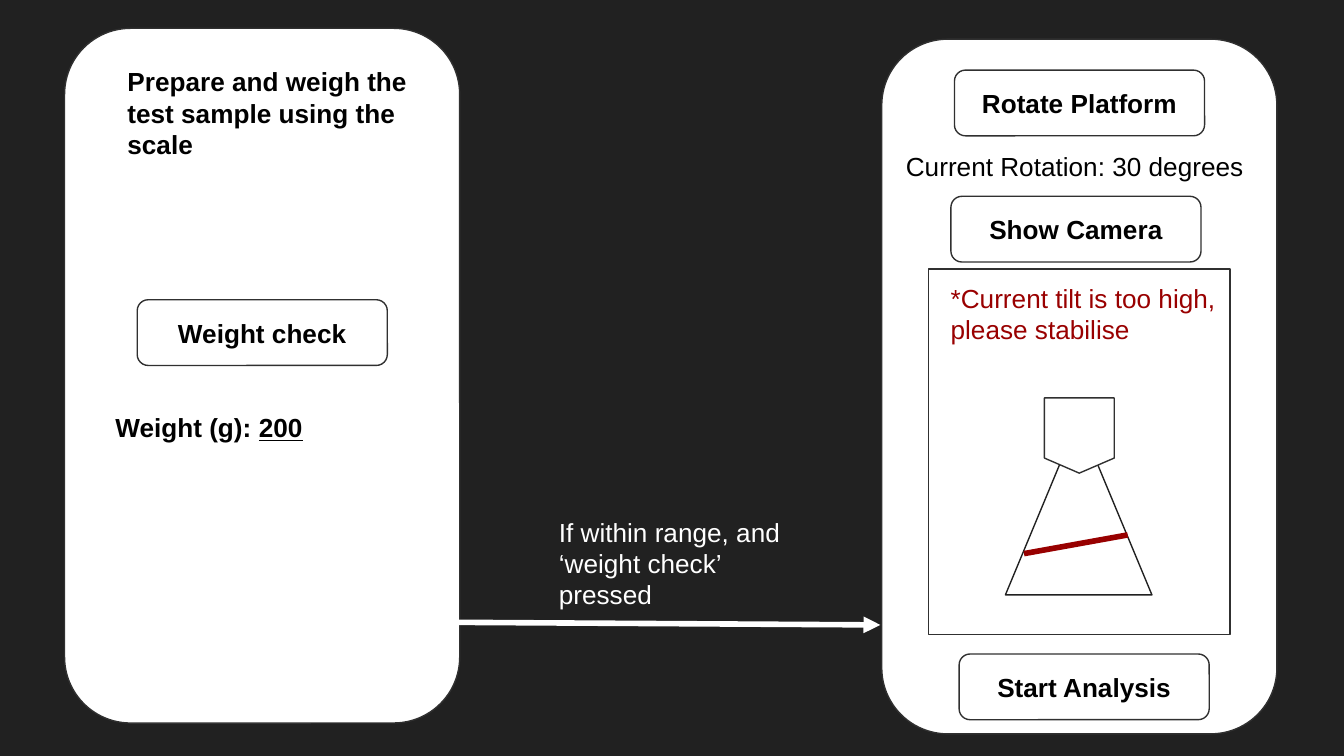
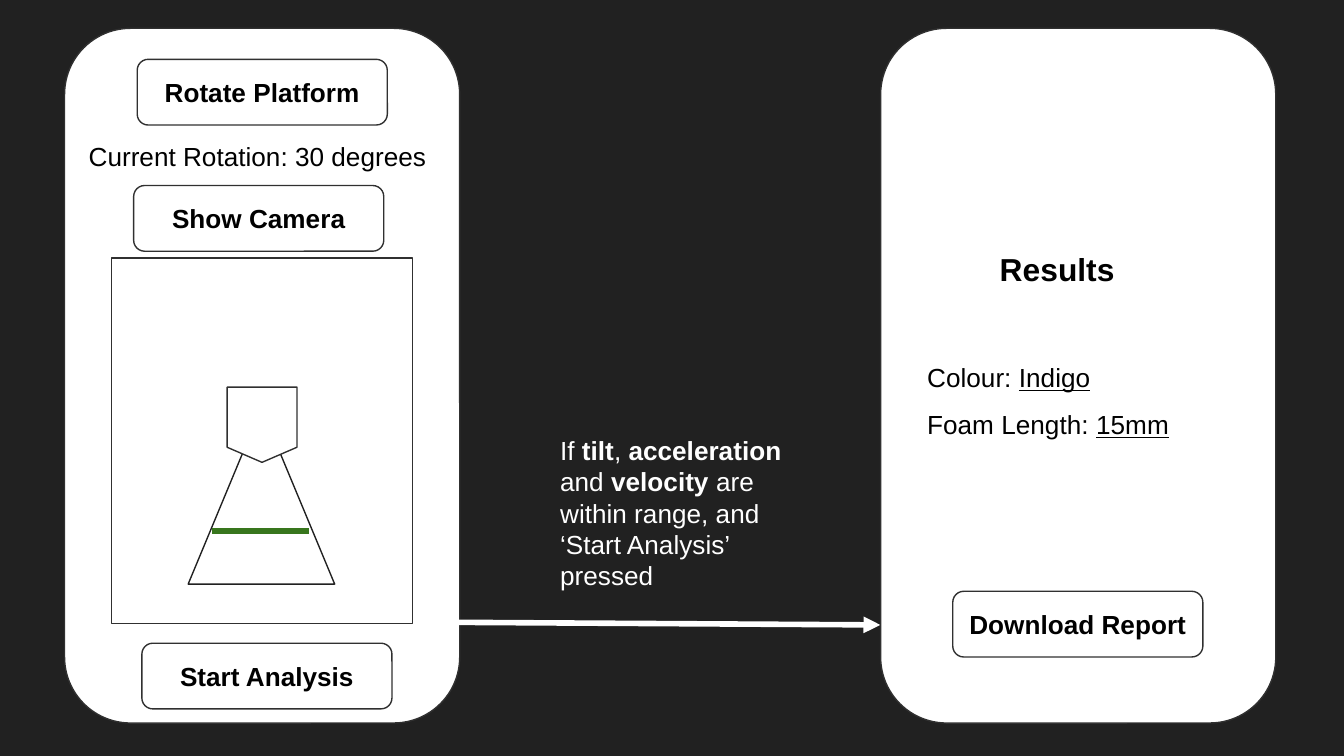
"""Build two slides that show the screens of a foam test app and the steps between them."""
import dataclasses
import typing

import pptx
import pptx.dml.color
import pptx.enum.shapes
import pptx.enum.text
import pptx.oxml.ns
import pptx.util
from lxml import etree

Pt = pptx.util.Pt
SHAPES = pptx.enum.shapes.MSO_SHAPE
COLOURS = {
    "background": "212121",
    "white": "FFFFFF",
    "outline": "303030",
    "flask": "212121",
    "text": "000000",
    "warning": "990000",
    "tilted": "980000",
    "level": "38761D",
}
FONT = "Arial"
CORNER = 0.167
INSET = 7.2
PANEL_SIZE = (211.7, 372.2)
BUTTON_SIZE = (134, 35.2)
LEFT_PANEL = (34.6, 15.2)
ARROW = ((241.2, 333.4), (471.6, 334.8))


@dataclasses.dataclass(frozen=True)
class Span:
    """A run of text with its emphasis."""
    text: str
    bold: bool = False
    underline: bool = False


@dataclasses.dataclass(frozen=True)
class Label:
    """A text box, placed on the page."""
    left: float
    top: float
    width: float
    height: float
    spans: tuple[Span, ...]
    colour: str = "text"
    size: float = 14


@dataclasses.dataclass(frozen=True)
class Button:
    """A rounded button, placed from the corner of its panel."""
    left: float
    top: float
    text: str


@dataclasses.dataclass(frozen=True)
class Outline:
    """A preset shape, placed from the corner of its panel."""
    kind: typing.Any
    left: float
    top: float
    width: float
    height: float
    line: str = "outline"


@dataclasses.dataclass(frozen=True)
class Stroke:
    """A thick line between two points."""
    start: tuple[float, float]
    end: tuple[float, float]
    colour: str = "white"
    arrow: bool = False


CAMERA_BUTTONS = (
    Button(38.9, 16.6, "Rotate Platform"),
    Button(37, 84.2, "Show Camera"),
    Button(41.4, 329.4, "Start Analysis"),
)
CAMERA_VIEW = (
    Outline(SHAPES.RECTANGLE, 25.2, 123.1, 161.3, 195.8),
    Outline(SHAPES.FLOWCHART_EXTRACT, 66.2, 203.4, 78.5, 94.3, "flask"),
    Outline(SHAPES.FLOWCHART_OFFPAGE_CONNECTOR, 87.1, 192.2, 37.4, 40.3),
)


def colour_of(name: str) -> pptx.dml.color.RGBColor:
    """Return the named colour."""
    return pptx.dml.color.RGBColor.from_string(COLOURS[name])


def apply_format(target: typing.Any, values: dict[str, typing.Any]) -> None:
    """Set each attribute of the target."""
    for name, value in values.items():
        setattr(target, name, value)


def write_text(box: typing.Any, spans: tuple[Span, ...], colour: str, size: float,
               frame_format: dict[str, typing.Any]) -> typing.Any:
    """Write one paragraph of spans in the box and return it."""
    frame = box.text_frame
    margins = {f"margin_{side}": Pt(INSET) for side in ("left", "top", "right", "bottom")}
    apply_format(frame, {"word_wrap": True, **margins, **frame_format})
    para = frame.paragraphs[0]
    for span in spans:
        run = para.add_run()
        run.text = span.text
        apply_format(run.font, {"name": FONT, "size": Pt(size), "bold": span.bold,
                                "underline": span.underline})
        run.font.color.rgb = colour_of(colour)
    return para


def draw_outline(page: typing.Any, outline: Outline, origin: tuple[float, float]) -> typing.Any:
    """Draw a white shape with a thin line."""
    left, top = origin
    box = page.shapes.add_shape(outline.kind, Pt(left + outline.left), Pt(top + outline.top),
                                Pt(outline.width), Pt(outline.height))
    box.shadow.inherit = False
    box.fill.solid()
    box.fill.fore_color.rgb = colour_of("white")
    box.line.color.rgb = colour_of(outline.line)
    box.line.width = Pt(0.75)
    if outline.kind == SHAPES.ROUNDED_RECTANGLE:
        box.adjustments[0] = CORNER
    return box


def draw_panel(page: typing.Any, origin: tuple[float, float]) -> None:
    """Draw the body of one app screen."""
    draw_outline(page, Outline(SHAPES.ROUNDED_RECTANGLE, 0, 0, *PANEL_SIZE), origin)


def draw_button(page: typing.Any, button: Button, origin: tuple[float, float]) -> None:
    """Draw a button with a bold centred caption."""
    outline = Outline(SHAPES.ROUNDED_RECTANGLE, button.left, button.top, *BUTTON_SIZE)
    box = draw_outline(page, outline, origin)
    para = write_text(box, (Span(button.text, bold=True),), "text", 14,
                      {"vertical_anchor": pptx.enum.text.MSO_ANCHOR.MIDDLE})
    para.alignment = pptx.enum.text.PP_ALIGN.CENTER


def draw_label(page: typing.Any, label: Label) -> None:
    """Draw a text box that grows with its text."""
    box = page.shapes.add_textbox(Pt(label.left), Pt(label.top), Pt(label.width), Pt(label.height))
    write_text(box, label.spans, label.colour, label.size,
               {"auto_size": pptx.enum.text.MSO_AUTO_SIZE.SHAPE_TO_FIT_TEXT})


def draw_stroke(page: typing.Any, stroke: Stroke) -> None:
    """Draw a thick line, with an arrowhead if asked."""
    points = [Pt(value) for value in (*stroke.start, *stroke.end)]
    connector = page.shapes.add_connector(pptx.enum.shapes.MSO_CONNECTOR.STRAIGHT, *points)
    connector.line.color.rgb = colour_of(stroke.colour)
    connector.line.width = Pt(3)
    if stroke.arrow:
        tail = etree.SubElement(connector.line._get_or_add_ln(), pptx.oxml.ns.qn("a:tailEnd"))
        tail.set("type", "triangle")
    etree.SubElement(connector._element.spPr, pptx.oxml.ns.qn("a:effectLst"))


def draw_camera_screen(page: typing.Any, origin: tuple[float, float], liquid: Stroke) -> None:
    """Draw the screen with the camera view and the liquid level."""
    left, top = origin
    draw_panel(page, origin)
    for outline in CAMERA_VIEW:
        draw_outline(page, outline, origin)
    for button in CAMERA_BUTTONS:
        draw_button(page, button, origin)
    draw_stroke(page, liquid)
    draw_label(page, Label(left + 5.8, top + 52.6, 206, 31.7,
                           (Span("Current Rotation: 30 degrees"),)))


def add_page(deck: typing.Any) -> typing.Any:
    """Add a blank dark page."""
    page = deck.slides.add_slide(deck.slide_layouts[6])
    page.background.fill.solid()
    page.background.fill.fore_color.rgb = colour_of("background")
    return page


def build_weighing_page(deck: typing.Any) -> None:
    """Build the step from weighing to the camera."""
    page = add_page(deck)
    draw_panel(page, LEFT_PANEL)
    draw_button(page, Button(38.9, 145.4, "Weight check"), LEFT_PANEL)
    draw_stroke(page, Stroke(*ARROW, arrow=True))
    draw_camera_screen(page, (472.4, 21), Stroke((548.6, 296.6), (604.1, 286.6), "tilted"))
    labels = (
        Label(61.2, 28, 170.6, 65.5,
              (Span("Prepare and weigh the test sample using the scale", bold=True),)),
        Label(54.7, 213.1, 182.2, 31.7,
              (Span("Weight (g): ", bold=True), Span("200", bold=True, underline=True))),
        Label(292.3, 269.3, 134, 65.5,
              (Span("If within range, and ‘weight check’ pressed"),), "white"),
        Label(502.2, 144, 168.5, 48.2,
              (Span("*Current tilt is too high, please stabilise"),), "warning"),
    )
    for label in labels:
        draw_label(page, label)


def build_results_page(deck: typing.Any) -> None:
    """Build the step from the camera to the results."""
    page = add_page(deck)
    draw_camera_screen(page, LEFT_PANEL, Stroke((113.8, 284.4), (165.6, 284.4), "level"))
    draw_stroke(page, Stroke(*ARROW, arrow=True))
    results_panel = (471.8, 15.2)
    draw_panel(page, results_panel)
    draw_button(page, Button(38.6, 301.6, "Download Report"), results_panel)
    condition = (
        Span("If "), Span("tilt", bold=True), Span(", "), Span("acceleration ", bold=True),
        Span("and "), Span("velocity ", bold=True),
        Span("are within range, and ‘Start Analysis’ pressed"),
    )
    labels = (
        Label(293, 225.4, 134, 99.4, condition, "white"),
        Label(528.5, 126.7, 97.2, 35.3, (Span("Results", bold=True),), size=17),
        Label(489.6, 186.5, 206, 31.7, (Span("Colour: "), Span("Indigo", underline=True))),
        Label(489.6, 211.7, 206, 31.7, (Span("Foam Length: "), Span("15mm", underline=True))),
    )
    for label in labels:
        draw_label(page, label)


def main() -> None:
    """Build and save the deck."""
    deck = pptx.Presentation()
    apply_format(deck, {"slide_width": Pt(720), "slide_height": Pt(405)})
    build_weighing_page(deck)
    build_results_page(deck)
    deck.save("out.pptx")


if __name__ == "__main__":
    main()
